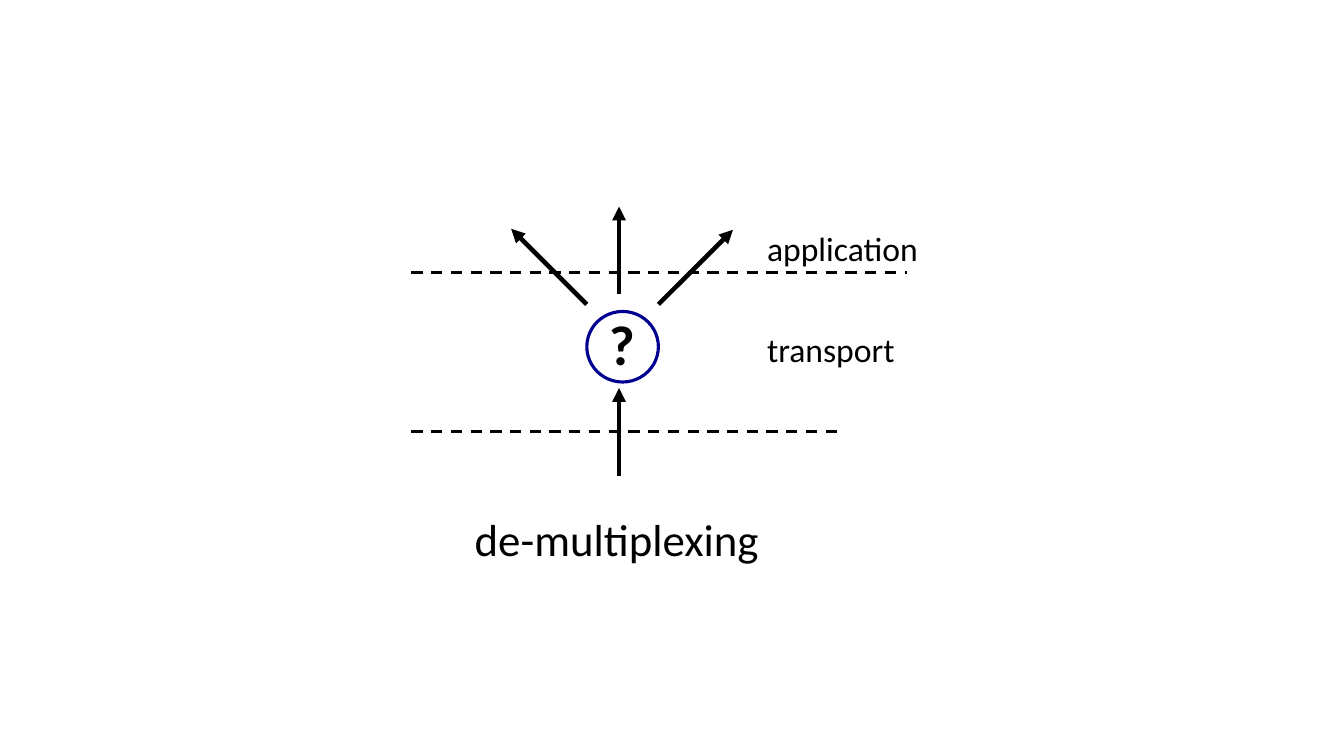
from lxml import etree
from pptx import Presentation
from pptx import util as u
from pptx.dml.color import RGBColor
from pptx.enum import dml, shapes, text
from pptx.oxml import ns

COLORS = {"ink": "000000", "paper": "FFFFFF", "ring": "000090"}

# Content: positions and lengths in inches, sizes in points
RING = (5.82, 3.09, 0.71, 0.7)
ARROWS = [  # from, to
    ((6.14, 4.72), (6.14, 3.85)),
    ((5.82, 3.02), (5.07, 2.27)),
    ((6.53, 3.02), (7.27, 2.28)),
    ((6.14, 2.92), (6.14, 2.05)),
]
LAYER_LEFT = 4.08
LAYER_BORDERS = [(4.28, 8.37), (2.7, 9)]  # height on slide, right end
LABELS = [  # text, box, size, bold
    ("?", (5.94, 3.02, 0.46, 0.77), 40, True),
    ("de-multiplexing", (4.61, 5.03, 3.05, 0.64), 32, False),
    ("transport", (7.51, 3.21, 1.49, 0.5), 24, False),
    ("application", (7.51, 2.21, 1.72, 0.5), 24, False),
]


def color(name):
    return RGBColor.from_string(COLORS[name])


def inches(values):
    return [u.Inches(value) for value in values]


def add_line(slide, start, end, width):
    connector = slide.shapes.add_connector(
        shapes.MSO_CONNECTOR.STRAIGHT, *inches(start + end))
    connector.line.color.rgb = color("ink")
    connector.line.width = u.Pt(width)
    etree.SubElement(connector._element.spPr, ns.qn("a:effectLst"))
    return connector


def add_arrow(slide, start, end):
    arrow = add_line(slide, start, end, 3.25)
    etree.SubElement(arrow.line._get_or_add_ln(), ns.qn("a:tailEnd"), type="triangle")


def add_label(slide, words, box, size, bold):
    frame = slide.shapes.add_textbox(*inches(box)).text_frame
    frame.word_wrap = False
    frame.auto_size = text.MSO_AUTO_SIZE.SHAPE_TO_FIT_TEXT
    paragraph = frame.paragraphs[0]
    run = paragraph.add_run()
    run.text = words
    font_format = {"name": "Calibri", "size": u.Pt(size), "bold": bold}
    for attribute, value in font_format.items():
        setattr(run.font, attribute, value)
    run.font.color.rgb = color("ink")


def main():
    presentation = Presentation()
    presentation.slide_width, presentation.slide_height = inches((13.33, 7.5))
    slide = presentation.slides.add_slide(presentation.slide_layouts[6])

    # Ring around the question mark
    ring = slide.shapes.add_shape(shapes.MSO_SHAPE.OVAL, *inches(RING))
    ring.shadow.inherit = False
    ring.fill.solid()
    ring.fill.fore_color.rgb = color("paper")
    ring.line.color.rgb = color("ring")
    ring.line.width = u.Pt(2.25)

    # One arrow in, three arrows out
    for start, end in ARROWS:
        add_arrow(slide, start, end)

    # Dashed borders between layers
    for y, right in LAYER_BORDERS:
        border = add_line(slide, (LAYER_LEFT, y), (right, y), 2)
        border.line.dash_style = dml.MSO_LINE.DASH

    # Question mark, caption and layer names
    for label in LABELS:
        add_label(slide, *label)

    presentation.save("out.pptx")


if __name__ == "__main__":
    main()
